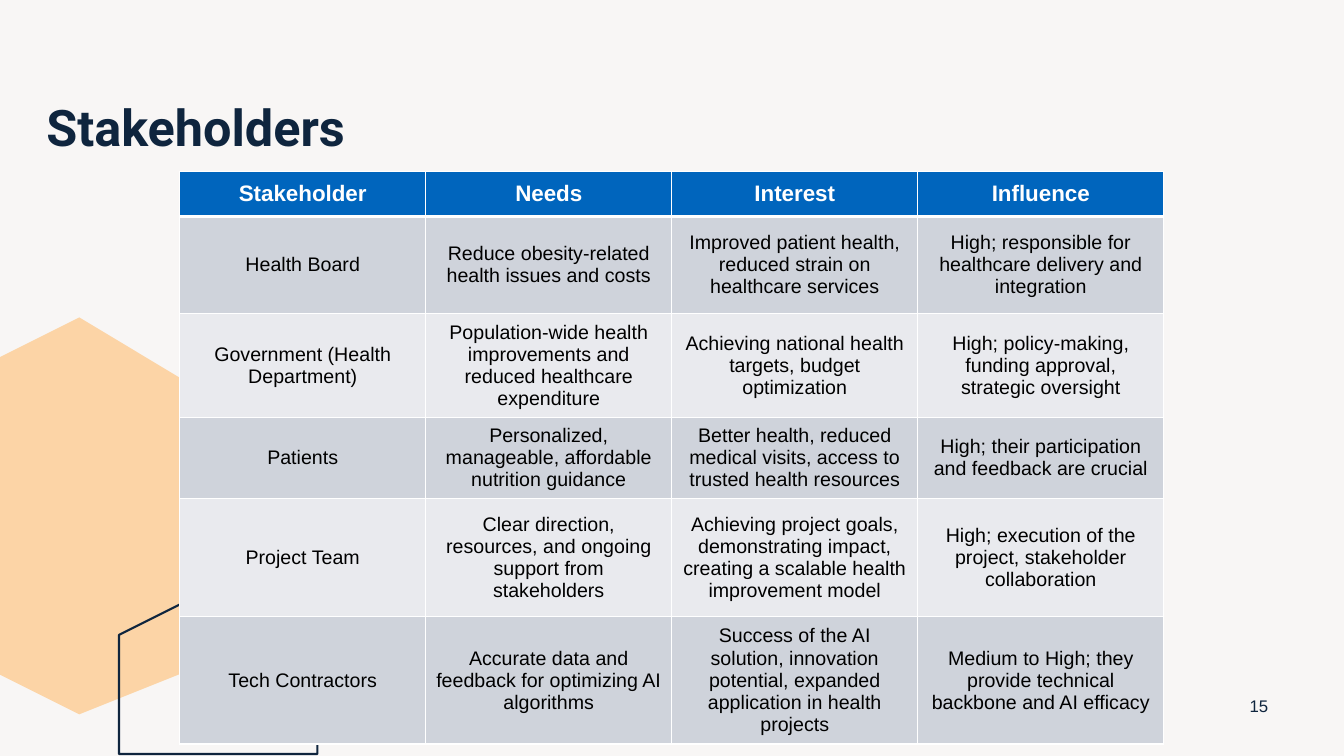
from dataclasses import dataclass

from pptx import Presentation, util as u
from pptx.dml.color import RGBColor
from pptx.enum import text
from pptx.oxml import parse_xml
from pptx.oxml.ns import nsdecls


@dataclass(frozen=True)
class Theme:
    background: str = "F8F6F5"
    navy: str = "0F253E"
    peach: str = "FCD4A6"
    header: str = "0065BD"
    odd_row: str = "CFD3DB"
    even_row: str = "E9EAEE"
    white: str = "FFFFFF"
    black: str = "000000"
    title_size: int = 36
    header_size: int = 16
    body_size: int = 14
    number_size: int = 12
    title_font: str = "Roboto"
    body_font: str = "Arial"


theme = Theme()


def write(tf, words, *, size, color, font=theme.body_font, bold=False,
          align=text.PP_ALIGN.CENTER, anchor=text.MSO_ANCHOR.MIDDLE, spacing=None):
    tf.word_wrap = True
    tf.vertical_anchor = anchor
    p = tf.paragraphs[0]
    p.alignment = align
    p.line_spacing = spacing
    r = p.add_run()
    r.text = words
    r.font.name = font
    r.font.size = u.Pt(size)
    r.font.bold = bold
    r.font.color.rgb = RGBColor.from_string(color)


def polygon(shapes, points):
    builder = shapes.build_freeform(*points[0], scale=u.Cm(1))
    builder.add_line_segments(points[1:], close=True)
    sp = builder.convert_to_shape()
    sp.shadow.inherit = False
    return sp


prs = Presentation()
prs.slide_width, prs.slide_height = u.Cm(33.87), u.Cm(19.05)
s = prs.slides.add_slide(prs.slide_layouts[6])
s.background.fill.solid()
s.background.fill.fore_color.rgb = RGBColor.from_string(theme.background)

hexagon = polygon(s.shapes, [(2.15, 7.95), (6.55, 10.51), (6.55, 15.61),
                             (2.13, 18.16), (0, 16.94), (0, 9.19)])
hexagon.fill.solid()
hexagon.fill.fore_color.rgb = RGBColor.from_string(theme.peach)
hexagon.line.fill.background()

outline = polygon(s.shapes, [(5.2, 14.61), (7.57, 15.97), (7.57, 18.69), (6.99, 19.02),
                             (3.4, 19.02), (2.82, 18.69), (2.82, 15.95)])
outline.fill.background()
outline.line.color.rgb = RGBColor.from_string(theme.navy)
outline.line.width = u.Pt(1.5)

number = s.shapes.add_textbox(u.Cm(31.09), u.Cm(17.27), u.Cm(1.27), u.Cm(1.02))
write(number.text_frame, "15", size=theme.number_size, color=theme.navy)

rows = [
    ("Stakeholder", "Needs", "Interest", "Influence"),
    ("Health Board",
     "Reduce obesity-related health issues and costs",
     "Improved patient health, reduced strain on healthcare services",
     "High; responsible for healthcare delivery and integration"),
    ("Government (Health Department)",
     "Population-wide health improvements and reduced healthcare expenditure",
     "Achieving national health targets, budget optimization",
     "High; policy-making, funding approval, strategic oversight"),
    ("Patients",
     "Personalized, manageable, affordable nutrition guidance",
     "Better health, reduced medical visits, access to trusted health resources",
     "High; their participation and feedback are crucial"),
    ("Project Team",
     "Clear direction, resources, and ongoing support from stakeholders",
     "Achieving project goals, demonstrating impact, creating a scalable health "
     "improvement model",
     "High; execution of the project, stakeholder collaboration"),
    ("Tech Contractors",
     "Accurate data and feedback for optimizing AI algorithms",
     "Success of the AI solution, innovation potential, expanded application in "
     "health projects",
     "Medium to High; they provide technical backbone and AI efficacy"),
]
heights = [1.14, 2.44, 2.49, 1.98, 2.97, 2.97]

table = s.shapes.add_table(len(rows), len(rows[0]), u.Cm(4.53), u.Cm(4.32),
                           u.Cm(24.8), u.Cm(sum(heights))).table
table.horz_banding = False
for column in table.columns:
    column.width = u.Cm(6.2)

for i, (height, row) in enumerate(zip(heights, rows)):
    table.rows[i].height = u.Cm(height)
    is_header = i == 0
    fill = theme.header if is_header else (theme.even_row, theme.odd_row)[i % 2]
    borders = {"L": 1, "R": 1, "T": 3 if i == 1 else 1, "B": 3 if is_header else 1}
    for j, words in enumerate(row):
        cell = table.cell(i, j)
        write(cell.text_frame, words, bold=is_header,
              size=theme.header_size if is_header else theme.body_size,
              color=theme.white if is_header else theme.black)
        cell.vertical_anchor = text.MSO_ANCHOR.MIDDLE
        tcPr = cell._tc.get_or_add_tcPr()
        for side, width in borders.items():
            tcPr.append(parse_xml(
                f'<a:ln{side} {nsdecls("a")} w="{u.Pt(width)}"><a:solidFill>'
                f'<a:srgbClr val="{theme.white}"/></a:solidFill></a:ln{side}>'))
        cell.fill.solid()
        cell.fill.fore_color.rgb = RGBColor.from_string(fill)

title = s.shapes.add_textbox(u.Cm(0.92), u.Cm(2.46), u.Cm(10.44), u.Cm(2.77))
write(title.text_frame, "Stakeholders", size=theme.title_size, color=theme.navy,
      font=theme.title_font, bold=True, align=text.PP_ALIGN.LEFT,
      anchor=text.MSO_ANCHOR.TOP, spacing=0.9)

prs.save("out.pptx")
